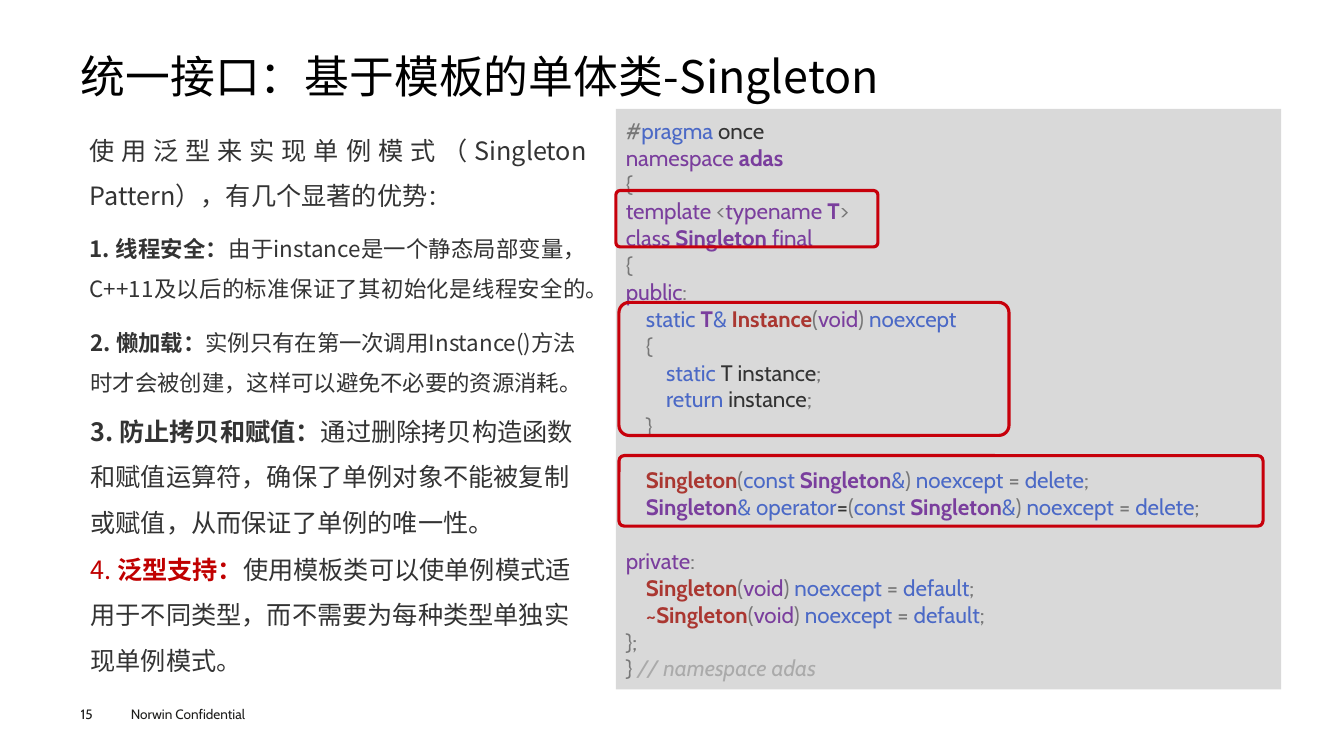
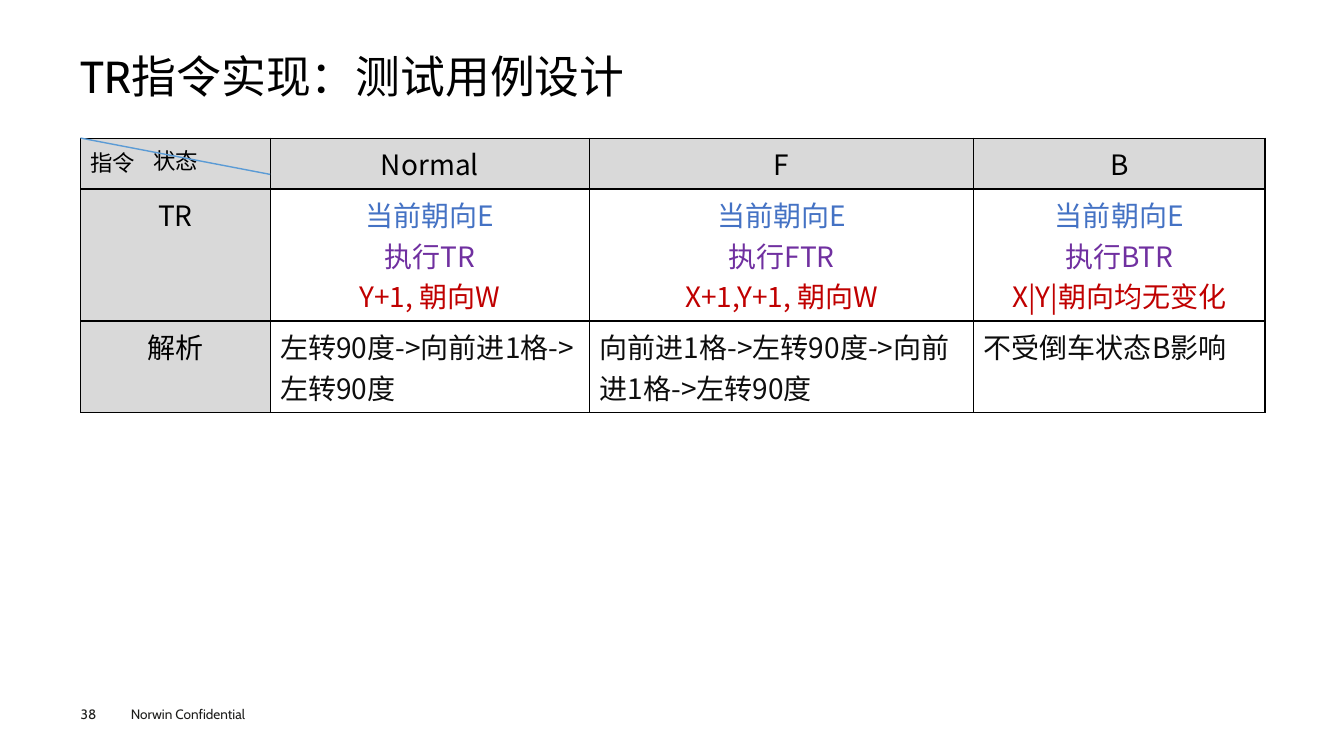
from typing import NamedTuple

from lxml import etree
from pptx import Presentation
from pptx.dml.color import RGBColor
from pptx.enum.shapes import MSO_CONNECTOR, MSO_SHAPE
from pptx.enum.text import MSO_ANCHOR, MSO_AUTO_SIZE, PP_ALIGN
from pptx.oxml.ns import qn
from pptx.util import Inches, Pt

LEFT, CENTER, JUSTIFY = PP_ALIGN.LEFT, PP_ALIGN.CENTER, PP_ALIGN.JUSTIFY
TOP, MIDDLE, BOTTOM = MSO_ANCHOR.TOP, MSO_ANCHOR.MIDDLE, MSO_ANCHOR.BOTTOM
RECT, ROUNDED = MSO_SHAPE.RECTANGLE, MSO_SHAPE.ROUNDED_RECTANGLE
STRAIGHT = MSO_CONNECTOR.STRAIGHT
NO_FIT = MSO_AUTO_SIZE.NONE
TITLE_ONLY = 5
CELL = Inches(0.1)
HAN, LATIN = "Noto Sans CJK SC", "Cabin"

COLORS = {
    "black": "000000", "footer": "1D1D1B", "body": "333333", "value": "0D0D0D",
    "white": "FFFFFF", "panel": "D9D9D9", "accent": "C00000", "frame": "C7000B",
    "diagonal": "5B9BD5", "state": "4472C4", "action": "7030A0",
    "mark": "777777", "keyword": "4B69C6", "type": "7A3E9D",
    "function": "AA3731", "comment": "AAAAAA",
}

CODE_STYLES = {
    "g": {"color": "mark"},
    "d": {"color": "body"},
    "k": {"color": "keyword"},
    "t": {"color": "type"},
    "T": {"color": "type", "bold": True},
    "F": {"color": "function", "bold": True},
    "c": {"color": "comment", "italic": True},
}

CODE_LINES = [
    (0, 0, "g#|kpragma|d once"),
    (0, 0, "tnamespace |Tadas"),
    (0, 0, "g{"),
    (0, 0, "ttemplate |g<|ttypename |TT|g>"),
    (0, 0, "tclass |TSingleton |tfinal"),
    (0, 0, "g{"),
    (0, 0, "tpublic|g:"),
    (1, 0, "kstatic |TT|k& |FInstance|g(|tvoid|g) |knoexcept"),
    (1, 0, "g{"),
    (2, 0, "kstatic|d T instance|g;"),
    (2, 0, "kreturn|d instance|g;"),
    (1, 0, "g}"),
    (1, 1, "FSingleton|g(|kconst |TSingleton|k&|g) |knoexcept |g= |kdelete|g;"),
    (1, 0, "TSingleton|k& operator|d=|g(|kconst |TSingleton|k&|g) "
           "|knoexcept |g= |kdelete|g;"),
    (0, 1, "tprivate|g:"),
    (1, 0, "FSingleton|g(|tvoid|g) |knoexcept |g= |kdefault|g;"),
    (1, 0, "F~Singleton|g(|tvoid|g) |knoexcept |g= |kdefault|g;"),
    (0, 0, "g};"),
    (0, 0, "g} |c// namespace adas"),
]

CODE_FRAMES = [(0, 8.1, 26, 5.6), (0.3, 19.2, 38.7, 13.2), (0.3, 34.4, 63.9, 7)]

INTRO = "使用泛型来实现单例模式（Singleton Pattern），有几个显著的优势"
SAFETY = ("1. 线程安全：", "由于instance是一个静态局部变量，C++11及以后的标准保证了其初始化是线程安全的。")
BOLD, ACCENT = {"bold": True}, {"color": "accent"}
POINTS = [
    (19.3, 8.7, 16, [("2. 懒加载：", BOLD),
                     "实例只有在第一次调用Instance()方法时才会被创建，这样可以避免不必要的资源消耗。"]),
    (27.8, 14.2, 18, [("3. 防止拷贝和赋值：", BOLD),
                      "通过删除拷贝构造函数和赋值运算符，确保了单例对象不能被复制或赋值，从而保证了单例的唯一性。"]),
    (41.5, 14.2, 18, [("4. ", ACCENT), ("泛型支持：", {**BOLD, **ACCENT}),
                      "使用模板类可以使单例模式适用于不同类型，而不需要为每种类型单独实现单例模式。"]),
]

CASE_COLUMNS = (18.8, 31.7, 38.1, 28.9)
CASE_ROWS = (5.05, 13.1, 9)
CASES = [
    ["状态", "Normal", "F", "B"],
    ["TR",
     ["当前朝向E", "执行TR", "Y+1, 朝向W"],
     ["当前朝向E", "执行FTR", "X+1,Y+1, 朝向W"],
     ["当前朝向E", "执行BTR", "X|Y|朝向均无变化"]],
    ["解析", "左转90度->向前进1格->左转90度",
     "向前进1格->左转90度->向前进1格->左转90度", "不受倒车状态B影响"],
]
STEP_COLORS = ("state", "action", "accent")


class Box(NamedTuple):
    """A region measured in grid columns and rows."""
    left: float
    top: float
    width: float
    height: float

    def inside(self, column, row, width, height):
        """Return a region placed from this region's corner."""
        return Box(self.left + column, self.top + row, width, height)

    def place(self):
        """Return the region as slide lengths."""
        return [round(length * CELL) for length in self]


PAGE = Box(0, 0, 133.33, 75)
TITLE = PAGE.inside(8, 4.9, 117.3, 5.3)
NUMBER = PAGE.inside(8, 70, 5.5, 1.6)
FOOTER = PAGE.inside(12, 69.5, 16, 2.7)
ADVANTAGES = PAGE.inside(8, 11.5, 51.1, 57)
CODE = PAGE.inside(61.1, 10.8, 66, 57.6)
CASE_TABLE = PAGE.inside(8, 13.7, sum(CASE_COLUMNS), sum(CASE_ROWS))


def rgb(name):
    """Return a palette colour."""
    return RGBColor.from_string(COLORS[name])


def write(frame, *spans, size=16, color="black", font=HAN, align=LEFT,
          spacing=None, before=None, indent=0):
    """Add a paragraph of spans, each plain text or a (text, format) pair."""
    para = frame.add_paragraph() if frame.text else frame.paragraphs[0]
    para.alignment = align
    if spacing:
        para.line_spacing = spacing
    if before is not None:
        para.space_before = Pt(before)
    if indent:
        para._p.get_or_add_pPr().set("marL", str(round(indent * CELL)))
    for item in spans:
        text, changes = (item, {}) if isinstance(item, str) else item
        look = {"size": size, "color": color, "bold": False, "italic": False, **changes}
        span = para.add_run()
        span.text = text
        span.font.size = Pt(look["size"])
        span.font.bold = look["bold"]
        span.font.italic = look["italic"]
        span.font.name = font
        span.font.color.rgb = rgb(look["color"])
        etree.SubElement(span._r.get_or_add_rPr(), qn("a:ea"), typeface=HAN)


def set_frame(frame, anchor=TOP, margins=(0.1, 0.05)):
    """Set a text frame's wrapping, anchor and insets."""
    frame.word_wrap = True
    frame.auto_size = NO_FIT
    frame.vertical_anchor = anchor
    frame.margin_left = frame.margin_right = Inches(margins[0])
    frame.margin_top = frame.margin_bottom = Inches(margins[1])
    return frame


def add_text(page, box, **options):
    """Add a text box and return its frame."""
    return set_frame(page.shapes.add_textbox(*box.place()).text_frame, **options)


def add_panel(page, box, kind, fill=None, line=None):
    """Add a preset shape with an optional fill and outline."""
    panel = page.shapes.add_shape(kind, *box.place())
    panel.shadow.inherit = False
    if fill:
        panel.fill.solid()
        panel.fill.fore_color.rgb = rgb(fill)
    else:
        panel.fill.background()
    if line:
        panel.line.color.rgb = rgb(line)
        panel.line.width = Pt(2.25)
    else:
        panel.line.fill.background()
    return panel


def add_page(deck, title, number, font=HAN):
    """Add a titled page with its footer and page number."""
    page = deck.slides.add_slide(deck.slide_layouts[TITLE_ONLY])
    heading = page.shapes.title
    heading.left, heading.top, heading.width, heading.height = TITLE.place()
    frame = set_frame(heading.text_frame, anchor=BOTTOM, margins=(0, 0))
    write(frame, title, size=32, font=font, spacing=0.9, before=0)
    small = {"size": 9.7, "color": "footer", "font": LATIN}
    write(add_text(page, FOOTER), "Norwin Confidential", **small)
    write(add_text(page, NUMBER, margins=(0, 0)), str(number), **small)
    return page


def add_advantages(page, box):
    """Add the introduction and the numbered advantages."""
    style = {"color": "body", "spacing": 1.5}
    intro = add_text(page, box.inside(0, 0, box.width, 19), margins=(0.09, 0.04))
    lead, detail = SAFETY
    write(intro, (INTRO, {"size": 18}), "：", align=JUSTIFY, before=7.9, **style)
    write(intro, (lead, BOLD), detail, align=JUSTIFY, before=7.9, **style)
    for row, height, size, spans in POINTS:
        frame = add_text(page, box.inside(0, row, box.width, height))
        write(frame, *spans, size=size, **style)


def add_code(page, box):
    """Add the code listing and the frames around its key lines."""
    panel = add_panel(page, box, RECT, fill="panel")
    frame = set_frame(panel.text_frame, anchor=MIDDLE)
    for level, gap, line in CODE_LINES:
        spans = [(token[1:], CODE_STYLES[token[0]]) for token in line.split("|")]
        write(frame, *spans, font=LATIN, indent=2 * level, before=19.3 * gap)
    for position in CODE_FRAMES:
        outline = add_panel(page, box.inside(*position), ROUNDED, line="frame")
        outline.adjustments[0] = 0.077


def add_borders(cell):
    """Draw thin black lines around a table cell."""
    properties = cell._tc.get_or_add_tcPr()
    for side in ("lnL", "lnR", "lnT", "lnB"):
        line = etree.SubElement(properties, qn(f"a:{side}"), w=str(Pt(1)))
        fill = etree.SubElement(line, qn("a:solidFill"))
        etree.SubElement(fill, qn("a:srgbClr"), val=COLORS["black"])


def add_cases(page, box):
    """Add the test case table with its split corner cell."""
    table = page.shapes.add_table(len(CASE_ROWS), len(CASE_COLUMNS), *box.place()).table
    table.first_row = table.horz_banding = False
    for column, width in zip(table.columns, CASE_COLUMNS):
        column.width = round(width * CELL)
    for row, height in zip(table.rows, CASE_ROWS):
        row.height = round(height * CELL)
    for r, texts in enumerate(CASES):
        for c, text in enumerate(texts):
            cell = table.cell(r, c)
            header = r == 0 or c == 0
            add_borders(cell)
            cell.fill.solid()
            cell.fill.fore_color.rgb = rgb("panel" if header else "white")
            if isinstance(text, list):
                for step, color in zip(text, STEP_COLORS):
                    write(cell.text_frame, step, size=20, color=color, align=CENTER)
            else:
                write(cell.text_frame, text, size=16 if r == c == 0 else 20,
                      color="black" if header else "value",
                      align=CENTER if header else LEFT)
    left, top, width, height = box.inside(0, 0, CASE_COLUMNS[0], 3.6).place()
    diagonal = page.shapes.add_connector(STRAIGHT, left, top, left + width, top + height)
    diagonal.line.color.rgb = rgb("diagonal")
    diagonal.line.width = Pt(1)
    etree.SubElement(diagonal._element.spPr, qn("a:effectLst"))
    write(add_text(page, box.inside(0, 0.6, 7.4, 3.7)), "指令")


def main():
    """Build and save the deck."""
    deck = Presentation()
    _, _, deck.slide_width, deck.slide_height = PAGE.place()
    page = add_page(deck, "统一接口：基于模板的单体类-Singleton", 15)
    add_advantages(page, ADVANTAGES)
    add_code(page, CODE)
    page = add_page(deck, "TR指令实现：测试用例设计", 38, font=LATIN)
    add_cases(page, CASE_TABLE)
    deck.save("out.pptx")


if __name__ == "__main__":
    main()
